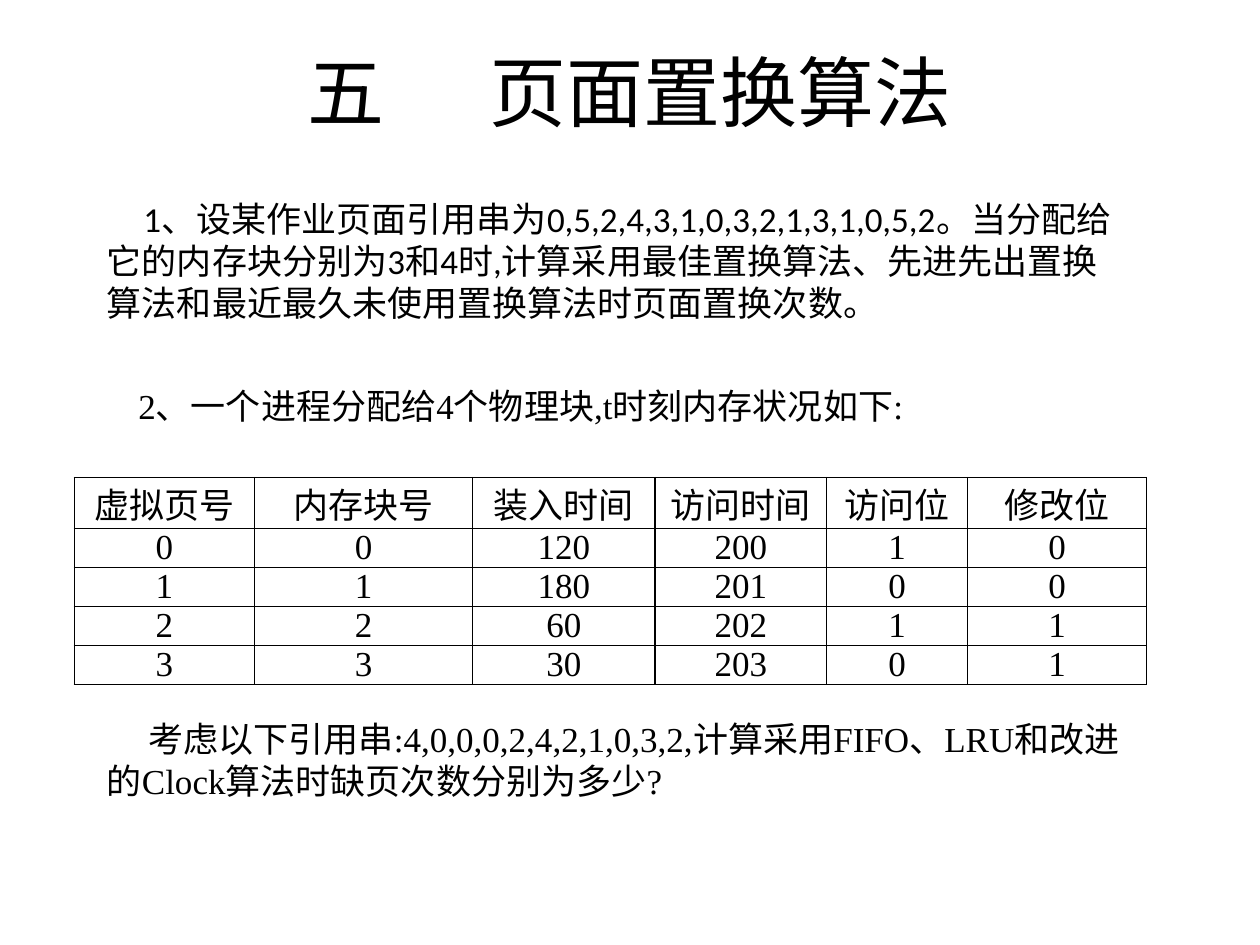
from lxml import etree
from pptx import Presentation, util as u
from pptx.dml.color import RGBColor
from pptx.enum import text as t
from pptx.oxml.ns import qn

HUE = {"ink": "000000"}
SERIF, SANS = "Times New Roman", "Calibri"
SIZE = 20

TITLE = ("五", " ", "页面置换算法")
GAP = 50  # points added to the space in the title

# text, font, (left, top, width, height), first-line indent, anchor, bottom margin
NOTES = [
    ("1、设某作业页面引用串为0,5,2,4,3,1,0,3,2,1,3,1,0,5,2。当分配给它的内存块分别为3和4时,"[:-1]
     + ",计算采用最佳置换算法、先进先出置换算法和最近最久未使用置换算法时页面置换次数。".replace(",", ","),
     SANS, (0.75, 1.51, 8.31, 1.11), 0.29, t.MSO_ANCHOR.MIDDLE, 0.05),
    ("2、一个进程分配给4个物理块,t时刻内存状况如下:",
     SERIF, (0.67, 3, 7.4, 0.44), 0.33, t.MSO_ANCHOR.TOP, 0.05),
    ("考虑以下引用串:4,0,0,0,2,4,2,1,0,3,2,"
     "计算采用FIFO、LRU和改进的Clock算法时缺页次数分别为多少?",
     SERIF, (0.75, 5.64, 8.5, 1.11), 0.33, t.MSO_ANCHOR.MIDDLE, 0.38),
]

HEAD = ["虚拟页号", "内存块号", "装入时间", "访问时间", "访问位", "修改位"]
ROWS = [
    [0, 0, 120, 200, 1, 0],
    [1, 1, 180, 201, 0, 0],
    [2, 2, 60, 202, 1, 1],
    [3, 3, 30, 203, 0, 1],
]
COLS = [1.43, 1.73, 1.45, 1.36, 1.12, 1.42]
HIGH = [0.4] + [0.31] * len(ROWS)


def style(run, face, size=SIZE):
    run.font.name, run.font.size = face, u.Pt(size)
    run.font.color.rgb = RGBColor.from_string(HUE["ink"])


def place(shape, box):
    shape.left, shape.top, shape.width, shape.height = map(u.Inches, box)


def border(cell):
    props = cell._tc.get_or_add_tcPr()
    for i, side in enumerate(("lnL", "lnR", "lnT", "lnB")):
        line = etree.Element(qn("a:" + side), w=str(u.Pt(1)))
        fill = etree.SubElement(line, qn("a:solidFill"))
        etree.SubElement(fill, qn("a:srgbClr"), val=HUE["ink"])
        props.insert(i, line)


deck = Presentation()
deck.slide_width, deck.slide_height = u.Inches(10), u.Inches(7.5)
slide = deck.slides.add_slide(deck.slide_layouts[5])

# Title
title = slide.shapes.title
place(title, (0.5, 0.3, 9, 1.17))
frame = title.text_frame
frame.auto_size = t.MSO_AUTO_SIZE.NONE
frame.vertical_anchor = t.MSO_ANCHOR.TOP
para = frame.paragraphs[0]
para.alignment = t.PP_ALIGN.CENTER
for part in TITLE:
    run = para.add_run()
    run.text = part
    style(run, SANS, 44)
    if part == " ":
        run.font._element.set("spc", str(GAP * 100))

# Memory table
grid = slide.shapes.add_table(len(HIGH), len(COLS), u.Inches(0.59), u.Inches(3.79),
                              u.Inches(sum(COLS)), u.Inches(sum(HIGH))).table
grid.first_row = grid.horz_banding = False
for col, wide in zip(grid.columns, COLS):
    col.width = u.Inches(wide)
for row, high, vals in zip(grid.rows, HIGH, [HEAD] + ROWS):
    row.height = u.Inches(high)
    for cell, val in zip(row.cells, vals):
        cell.text = str(val)
        cell.margin_left = cell.margin_right = u.Inches(0.07)
        cell.margin_top = cell.margin_bottom = 0
        cell.fill.background()
        border(cell)
        para = cell.text_frame.paragraphs[0]
        para.alignment = t.PP_ALIGN.CENTER
        style(para.runs[0], SERIF)

# Questions
for words, face, box, dent, anchor, foot in NOTES:
    frame = slide.shapes.add_textbox(*map(u.Inches, box)).text_frame
    frame.word_wrap = True
    frame.auto_size = t.MSO_AUTO_SIZE.SHAPE_TO_FIT_TEXT
    frame.vertical_anchor = anchor
    frame.margin_bottom = u.Inches(foot)
    frame.text = words
    para = frame.paragraphs[0]
    para._p.get_or_add_pPr().set("indent", str(u.Inches(dent)))
    style(para.runs[0], face)

deck.save("out.pptx")
